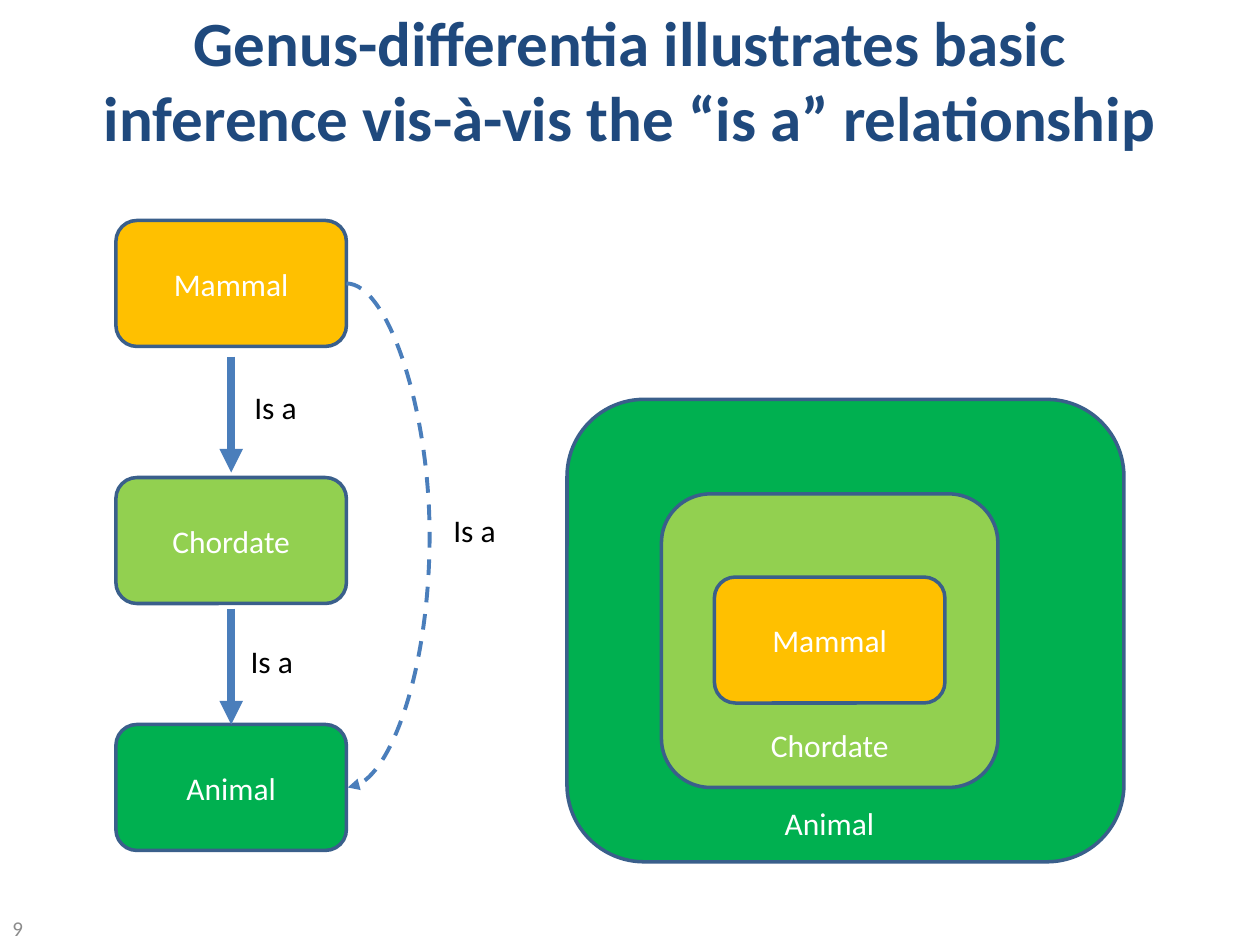
from lxml import etree
from pptx import Presentation
from pptx.dml.color import RGBColor
from pptx.enum.dml import MSO_LINE
from pptx.enum.shapes import MSO_CONNECTOR, MSO_SHAPE
from pptx.enum.text import MSO_ANCHOR, PP_ALIGN
from pptx.oxml.ns import qn
from pptx.util import Inches, Pt

NAVY = RGBColor(0x1F, 0x49, 0x7D)
OUTLINE = RGBColor(0x3A, 0x5F, 0x8B)
ARROW = RGBColor(0x4A, 0x7E, 0xBB)
GRAY = RGBColor(0x8B, 0x8B, 0x8B)
BLACK = RGBColor(0, 0, 0)
WHITE = RGBColor(0xFF, 0xFF, 0xFF)
GOLD = RGBColor(0xFF, 0xC0, 0x00)
LIME = RGBColor(0x92, 0xD0, 0x50)
GREEN = RGBColor(0x00, 0xB0, 0x50)

CLASSES = [("Mammal", GOLD), ("Chordate", LIME), ("Animal", GREEN)]
BOX_WIDTH, BOX_HEIGHT = 1.83, 1


def write_text(shape, text, size=18, color=WHITE, bold=False,
               align=PP_ALIGN.CENTER, anchor=MSO_ANCHOR.MIDDLE, wrap=True):
    frame = shape.text_frame
    frame.word_wrap = wrap
    frame.vertical_anchor = anchor
    para = frame.paragraphs[0]
    para.alignment = align
    span = para.add_run()
    span.text = text
    font = span.font
    font.name, font.size, font.bold = "Calibri", Pt(size), bold
    font.color.rgb = color


def add_label(slide, text, left, top, width=0.6, height=0.4, **text_format):
    box = slide.shapes.add_textbox(
        Inches(left), Inches(top), Inches(width), Inches(height))
    settings = dict(align=PP_ALIGN.LEFT, anchor=MSO_ANCHOR.TOP, wrap=False)
    write_text(box, text, **(settings | text_format))


def add_class_box(slide, left, top, width, height, fill, text=None):
    box = slide.shapes.add_shape(
        MSO_SHAPE.ROUNDED_RECTANGLE,
        Inches(left), Inches(top), Inches(width), Inches(height))
    box.shadow.inherit = False
    box.fill.solid()
    box.fill.fore_color.rgb = fill
    box.line.color.rgb = OUTLINE
    box.line.width = Pt(2)
    if text:
        write_text(box, text)


def add_arrow(slide, start, end, width, kind=MSO_CONNECTOR.STRAIGHT):
    arrow = slide.shapes.add_connector(
        kind, *(Inches(length) for length in (*start, *end)))
    arrow.line.color.rgb = ARROW
    arrow.line.width = Pt(width)
    properties = arrow._element.spPr.find(qn("a:ln"))
    etree.SubElement(properties, qn("a:tailEnd"), type="triangle")
    etree.SubElement(arrow._element.spPr, qn("a:effectLst"))
    return arrow


def add_inferred_arrow(slide, start, end, bulge):
    """Dashed curve whose middle lies bulge inches right of its start."""
    arrow = add_arrow(slide, start, end, 2.25, MSO_CONNECTOR.CURVE)
    arrow.line.dash_style = MSO_LINE.DASH
    geometry = arrow._element.spPr.find(qn("a:prstGeom"))
    guides = geometry.find(qn("a:avLst"))
    if guides is None:
        guides = etree.SubElement(geometry, qn("a:avLst"))
    ratio = round(bulge / (end[0] - start[0]) * 100000)
    etree.SubElement(guides, qn("a:gd"), name="adj1", fmla=f"val {ratio}")


def add_title(slide, left, top, width, height):
    title = slide.shapes.title
    title.left, title.top = Inches(left), Inches(top)
    title.width, title.height = Inches(width), Inches(height)
    write_text(
        title,
        "Genus-differentia illustrates basic inference vis-à-vis the “is a” relationship",
        size=36, color=NAVY, bold=True)


def add_chain(slide, left, top):
    """Column of classes joined by stated and inferred "is a" arrows."""
    for (name, fill), offset in zip(CLASSES, (0, 2.04, 4)):
        add_class_box(slide, left, top + offset, BOX_WIDTH, BOX_HEIGHT, fill, name)
    middle, right = left + BOX_WIDTH / 2, left + BOX_WIDTH
    for offset in (1.08, 3.08):
        start = top + offset
        add_arrow(slide, (middle, start), (middle, start + 0.92), 4.5)
    add_inferred_arrow(slide, (right, top + 0.5), (right + 0.01, top + 4.5), 0.67)
    for x, y in ((1, 1.28), (0.97, 3.3), (2.58, 2.26)):
        add_label(slide, "Is a", left + x, top + y, color=BLACK)


def add_nested_sets(slide, left, top):
    """The same classes, each drawn inside the wider one."""
    add_class_box(slide, left, top, 4.42, 3.67, GREEN)
    add_class_box(slide, left + 0.75, top + 0.75, 2.67, 2.33, LIME)
    add_class_box(slide, left + 1.17, top + 1.41, BOX_WIDTH, BOX_HEIGHT, GOLD, "Mammal")
    add_label(slide, "Chordate", left + 1.52, top + 2.54, 1.25)
    add_label(slide, "Animal", left + 1.63, top + 3.16, 1)


def main():
    deck = Presentation()
    deck.slide_width, deck.slide_height = Inches(10), Inches(7.5)
    slide = deck.slides.add_slide(deck.slide_layouts[5])
    add_title(slide, 0.5, 0, 9, 1.25)
    add_chain(slide, 0.92, 1.75)
    add_nested_sets(slide, 4.5, 3.17)
    add_label(slide, "9", 0, 7.25, 2.33, 0.24, size=12, color=GRAY,
              anchor=MSO_ANCHOR.MIDDLE, wrap=True)
    deck.save("out.pptx")


if __name__ == "__main__":
    main()
